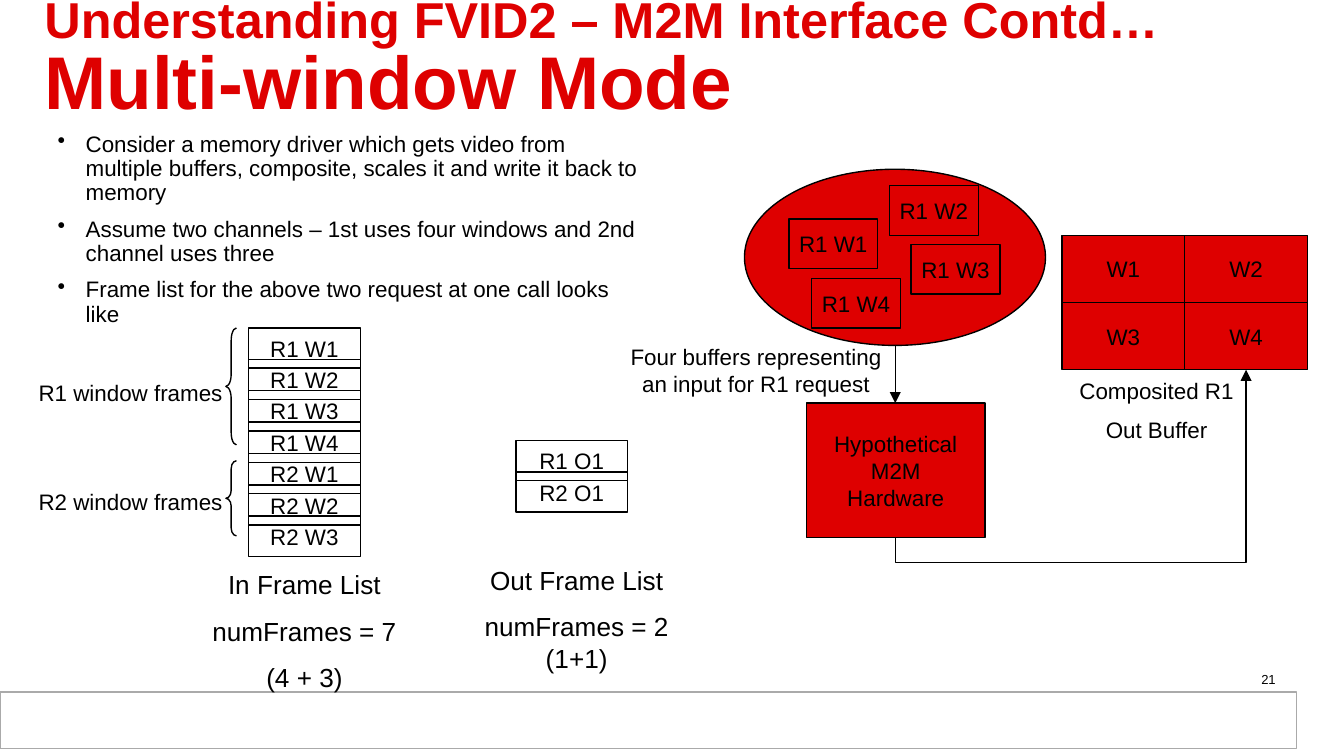
from lxml import etree
from pptx import Presentation
from pptx.dml.color import RGBColor
from pptx.enum.shapes import MSO_CONNECTOR as Link, MSO_SHAPE as Shape
from pptx.enum.text import MSO_ANCHOR as Anchor, PP_ALIGN as Align
from pptx.oxml.ns import qn
from pptx.util import Cm, Pt

COLORS = {"red": "DE0000", "black": "000000", "white": "FFFFFF", "gray": "AAAAAA"}
FONT = "Arial"

TITLE = [("Understanding FVID2 – M2M Interface Contd… ", 27), ("Multi-window Mode", 40)]
BULLETS = [
    "Consider a memory driver which gets video from multiple buffers, composite, scales it and write it back to memory",
    "Assume two channels – 1st uses four windows and 2nd channel uses three",
    "Frame list for the above two request at one call looks like",
]
INPUT_WINDOWS = [("R1 W1", 14.91, 4.14), ("R1 W2", 16.81, 3.51),
                 ("R1 W3", 17.22, 4.62), ("R1 W4", 15.34, 5.26)]
OUTPUT_WINDOWS = [["W1", "W2"], ["W3", "W4"]]
HARDWARE = ["Hypothetical", "M2M", "Hardware"]
FRAME_LISTS = [
    (4.7, 6.2, ["R1 W1", "R1 W2", "R1 W3", "R1 W4", "R2 W1", "R2 W2", "R2 W3"]),
    (9.75, 8.33, ["R1 O1", "R2 O1"]),
]
BRACES = [(6.2, 2.21, 1.161), (8.71, 1.42, 0.747)]
CAPTIONS = [
    (["Composited R1", "Out Buffer"], 19.23, 6.99, 5.26, 1.55, 12, Align.CENTER),
    (["Four buffers representing an input for R1 request"], 11.66, 6.35, 5.26, 1.3, 12, Align.CENTER),
    (["Out Frame List", "numFrames = 2 (1+1)"], 8.69, 10.54, 4.42, 2.36, 14, Align.CENTER),
    (["In Frame List", "numFrames = 7", "(4 + 3)"], 3.43, 10.62, 4.65, 2.64, 14, Align.CENTER),
    (["R1 window frames"], 0.48, 7.04, 4.22, 0.76, 12, Align.LEFT),
    (["R2 window frames"], 0.48, 9.09, 4.22, 0.76, 12, Align.LEFT),
    (["21"], 18.44, 12.57, 5.92, 0.43, 7, Align.RIGHT),
]
CELL_W, CELL_H = 2.32, 1.27
FRAME_PITCH = 0.593
LINE_WIDTH = 0.75

prs = Presentation()
prs.slide_width, prs.slide_height = Cm(25.4), Cm(14.29)
slide = prs.slides.add_slide(prs.slide_layouts[5])


def color(name):
    return RGBColor.from_string(COLORS[name])


def style(font, size, ink="black", bold=False):
    for key, value in {"name": FONT, "size": Pt(size), "bold": bold}.items():
        setattr(font, key, value)
    font.color.rgb = color(ink)


def set_frame(frame, wrap=True, anchor=Anchor.TOP, side=0.25, edge=0.13):
    formats = {"word_wrap": wrap, "vertical_anchor": anchor, "margin_left": Cm(side),
               "margin_right": Cm(side), "margin_top": Cm(edge), "margin_bottom": Cm(edge)}
    for key, value in formats.items():
        setattr(frame, key, value)


def write(frame, lines, size=12, align=Align.CENTER, gap=0):
    for i, line in enumerate(lines):
        paragraph = frame.add_paragraph() if i else frame.paragraphs[0]
        paragraph.text = line
        paragraph.alignment = align
        paragraph.space_before = Pt(gap if i else 0)
        style(paragraph.font, size)


def draw(kind, left, top, width, height, fill=None, lines=(), line="black", wrap=False, anchor=Anchor.MIDDLE):
    shape = slide.shapes.add_shape(kind, Cm(left), Cm(top), Cm(width), Cm(height))
    shape.shadow.inherit = False
    if fill:
        shape.fill.solid()
        shape.fill.fore_color.rgb = color(fill)
    else:
        shape.fill.background()
    shape.line.color.rgb = color(line)
    shape.line.width = Pt(LINE_WIDTH)
    if lines:
        set_frame(shape.text_frame, wrap, anchor)
        write(shape.text_frame, lines)
    return shape


def arrow(kind, x1, y1, x2, y2):
    connector = slide.shapes.add_connector(kind, Cm(x1), Cm(y1), Cm(x2), Cm(y2))
    connector.line.color.rgb = color("black")
    connector.line.width = Pt(LINE_WIDTH)
    properties = connector._element.spPr
    etree.SubElement(properties.find(qn("a:ln")), qn("a:tailEnd"), type="triangle")
    etree.SubElement(properties, qn("a:effectLst"))
    return properties


def text_box(left, top, width, height, **margins):
    box = slide.shapes.add_textbox(Cm(left), Cm(top), Cm(width), Cm(height))
    set_frame(box.text_frame, **margins)
    return box.text_frame


draw(Shape.RECTANGLE, 0, 13.08, 24.51, 1.07, "white", line="gray")

title = slide.shapes.title
for key, value in {"left": 0.64, "top": 0.3, "width": 23.5, "height": 1.7}.items():
    setattr(title, key, Cm(value))
set_frame(title.text_frame, anchor=Anchor.MIDDLE, side=0.2, edge=0.1)
heading = title.text_frame.paragraphs[0]
heading.alignment, heading.line_spacing = Align.LEFT, 0.85
for words, size in TITLE:
    run = heading.add_run()
    run.text = words
    style(run.font, size, "red", True)

bullet_frame = text_box(0.89, 2.41, 11.38, 4.11, side=0.2, edge=0.1)
for i, words in enumerate(BULLETS):
    item = bullet_frame.add_paragraph() if i else bullet_frame.paragraphs[0]
    item.text = words
    item.line_spacing, item.space_before = 0.9, Pt(6.7 if i else 0)
    layout = item._p.get_or_add_pPr()
    layout.set("marL", str(Cm(0.53)))
    layout.set("indent", str(-Cm(0.53)))
    etree.SubElement(layout, qn("a:buChar"), char="•")
    style(item.font, 12)

draw(Shape.OVAL, 14.07, 3.2, 5.69, 3.33, "red")
for name, left, top in INPUT_WINDOWS:
    draw(Shape.RECTANGLE, left, top, 1.68, 0.94, "red", [name])
draw(Shape.RECTANGLE, 15.24, 7.62, 3.38, 2.54, "red", HARDWARE)
for row, names in enumerate(OUTPUT_WINDOWS):
    for column, name in enumerate(names):
        draw(Shape.RECTANGLE, 20.07 + column * CELL_W, 4.45 + row * CELL_H, CELL_W, CELL_H, "red", [name])

arrow(Link.STRAIGHT, 16.92, 6.53, 16.92, 7.62)
output_path = arrow(Link.ELBOW, 21.82, 11.89, 18.65, 5.26)
output_path.find(qn("a:xfrm")).set("rot", "5400000")
bend = output_path.find(qn("a:prstGeom")).find(qn("a:avLst"))
etree.SubElement(bend, qn("a:gd"), name="adj1", fmla="val -14900")

for left, top, names in FRAME_LISTS:
    for i, name in enumerate(names):
        draw(Shape.RECTANGLE, left, top + i * FRAME_PITCH, 2.11, 0.76, None, [name], wrap=True, anchor=Anchor.TOP)
for top, height, curve in BRACES:
    brace = draw(Shape.LEFT_BRACE, 4.27, top, 0.2, height)
    brace.adjustments[0] = curve
for lines, left, top, width, height, size, align in CAPTIONS:
    write(text_box(left, top, width, height), lines, size, align, gap=size * 0.57)

prs.save("out.pptx")
